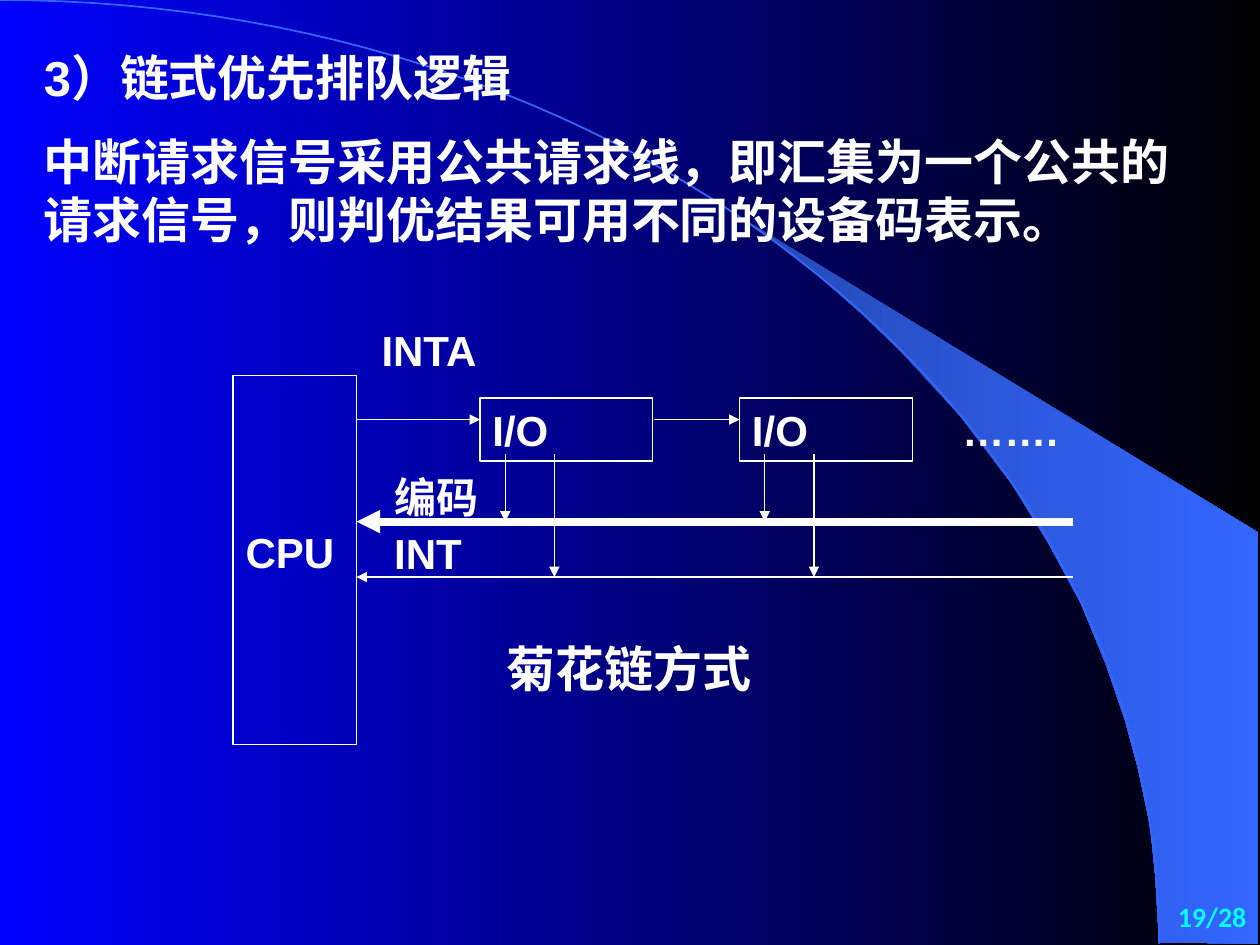
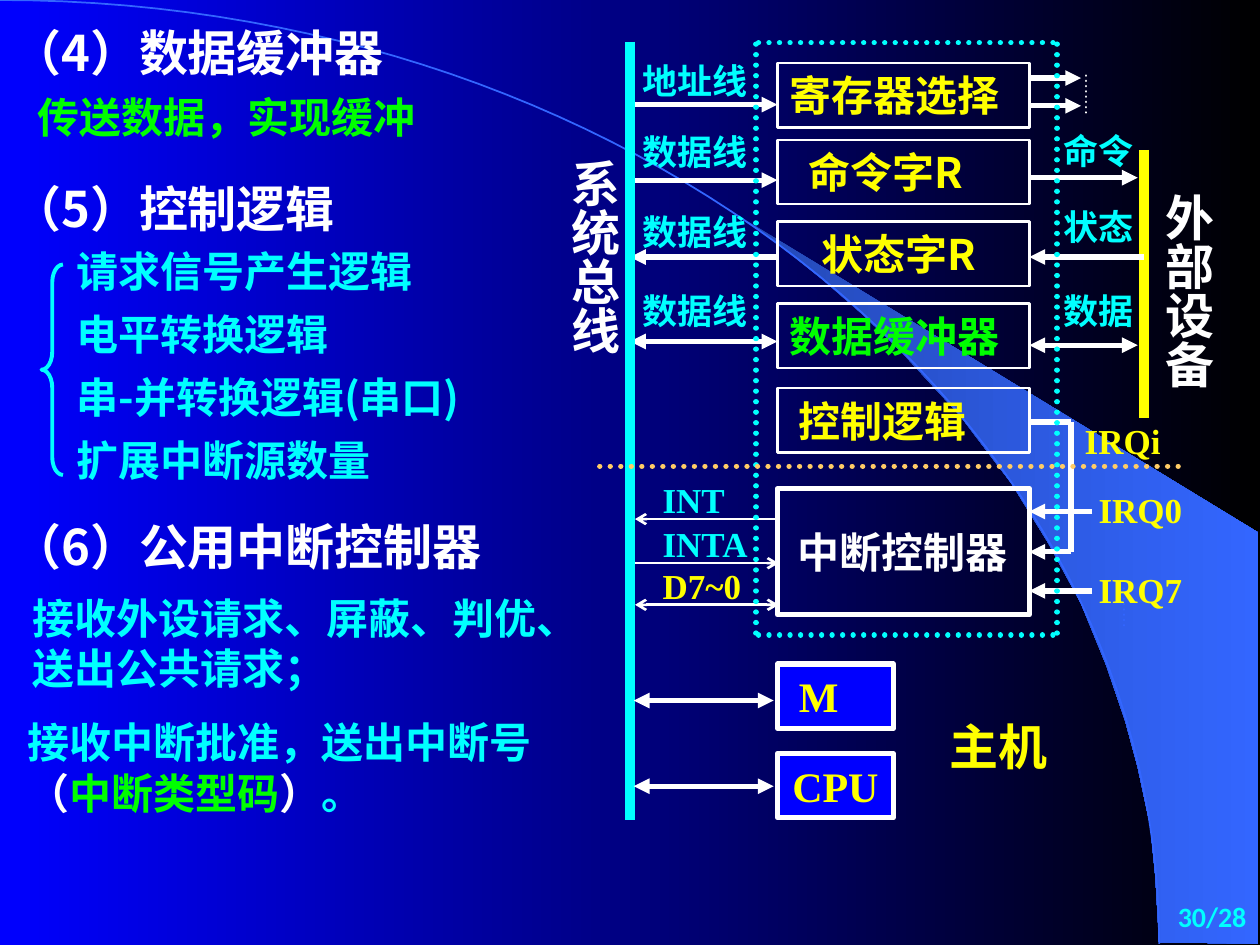
from lxml import etree
from pptx import Presentation
from pptx.dml.color import RGBColor
from pptx.enum import dml, shapes, text
from pptx.oxml import ns
from pptx.util import Inches, Pt

# Shared style
WHITE, CYAN, YELLOW, GREEN = "FFFFFF", "00FFFF", "FFFF00", "00FF00"
BLUE, BLACK, SKY, NAVY, SAND = "0000FF", "000000", "3366FF", "2449B6", "FFCC66"
ARIAL, TIMES, NOTO = "Arial", "Times New Roman", "Noto Sans CJK SC"
WEDGE = [(9.2, 7.48), (9.99, 7.49), (9.99, 4.23), (5.89, 1.73), (6.24, 1.99),
         (6.53, 2.22), (6.85, 2.5), (7.16, 2.8), (7.62, 3.3), (8.03, 3.84),
         (8.32, 4.31), (8.58, 4.79), (8.78, 5.28), (8.93, 5.72),
         (9.03, 6.09), (9.13, 6.56), (9.17, 6.96)]


def rgb(code):
    return RGBColor.from_string(code)


def fade(fill, start, end):
    """Give a fill a left-to-right gradient."""
    fill.gradient()
    fill.gradient_angle = 0
    for stop, code in zip(fill.gradient_stops, (start, end)):
        stop.color.rgb = rgb(code)


def arc_points(steps=60):
    """Points on the large curve from the top left to the bottom right."""
    points = []
    for step in range(steps + 1):
        t = step / steps
        s = 1 - t
        points.append((3 * s * s * t * 5.08 + (3 * s * t * t + t ** 3) * 9.2,
                       3 * s * t * t * 3.35 + t ** 3 * 7.49))
    return points


class Deck:
    def __init__(self):
        self.prs = Presentation()
        self.prs.slide_width, self.prs.slide_height = Inches(10), Inches(7.5)
        fade(self.prs.slide_master.background.fill, BLUE, BLACK)
        self.slide = None

    def page(self, number):
        """Start a slide with the wedge, the curve and the page number."""
        self.slide = self.prs.slides.add_slide(self.prs.slide_layouts[6])
        wedge = self.outline(WEDGE, True)
        fade(wedge.fill, NAVY, SKY)
        wedge.line.fill.background()
        curve = self.outline(arc_points(), False)
        curve.fill.background()
        self.stroke(curve.line, SKY, 1)
        self.text(8.94, 7.09, 1.05, 0.39, number, 16, CYAN, "Calibri",
                  align=text.PP_ALIGN.RIGHT)

    def outline(self, points, close):
        spots = [(Inches(x), Inches(y)) for x, y in points]
        maker = self.slide.shapes.build_freeform(*spots[0])
        maker.add_line_segments(spots[1:], close=close)
        shape = maker.convert_to_shape()
        shape.shadow.inherit = False
        return shape

    def stroke(self, line, color, width):
        line.color.rgb = rgb(color)
        line.width = Pt(width)

    def add_runs(self, frame, content, size, color, font, align=None):
        """Fill a frame; content is a string or paragraphs of (words, color) runs."""
        frame.word_wrap = True
        if isinstance(content, str):
            content = [[(content, color)]]
        for index, runs in enumerate(content):
            para = frame.add_paragraph() if index else frame.paragraphs[0]
            para.alignment = align or text.PP_ALIGN.LEFT
            if index:
                para.space_before = Pt(size / 2)
            for words, shade in runs:
                run = para.add_run()
                run.text = words
                run.font.size, run.font.bold = Pt(size), True
                run.font.color.rgb = rgb(shade)
                run.font.name = font
                east = etree.SubElement(run._r.get_or_add_rPr(), ns.qn("a:ea"))
                east.set("typeface", NOTO)

    def text(self, x, y, w, h, content, size=24, color=WHITE, font=NOTO,
             align=None, upright=False):
        box = self.slide.shapes.add_textbox(*map(Inches, (x, y, w, h)))
        if upright:
            box.text_frame._txBody.bodyPr.set("vert", "eaVert")
        self.add_runs(box.text_frame, content, size, color, font, align)

    def shape(self, kind, x, y, w, h, color, width):
        shape = self.slide.shapes.add_shape(kind, *map(Inches, (x, y, w, h)))
        shape.shadow.inherit = False
        shape.fill.background()
        self.stroke(shape.line, color, width)
        return shape

    def box(self, x, y, w, h, words="", color=WHITE, font=NOTO, width=1.5,
            fill=None, inset=0.1, align=None):
        box = self.shape(shapes.MSO_SHAPE.RECTANGLE, x, y, w, h, WHITE, width)
        if fill:
            box.fill.solid()
            box.fill.fore_color.rgb = rgb(fill)
        frame = box.text_frame
        frame.vertical_anchor = text.MSO_ANCHOR.MIDDLE
        frame.margin_left = Inches(inset)
        if words:
            self.add_runs(frame, words, 24, color, font, align)
        return frame

    def line(self, x1, y1, x2, y2, color=WHITE, width=3, head=None, tail=None,
             dots=False):
        """Draw a line; head is the tip at its start, tail the one at its end."""
        wire = self.slide.shapes.add_connector(
            shapes.MSO_CONNECTOR.STRAIGHT, *map(Inches, (x1, y1, x2, y2)))
        self.stroke(wire.line, color, width)
        pen = wire.line._get_or_add_ln()
        if dots:
            wire.line.dash_style = dml.MSO_LINE.ROUND_DOT
            pen.set("cap", "rnd")
        for tag, tip in (("a:headEnd", head), ("a:tailEnd", tail)):
            if tip:
                etree.SubElement(pen, ns.qn(tag)).set("type", tip)
        etree.SubElement(wire._element.spPr, ns.qn("a:effectLst"))


TIP, OPEN = "triangle", "arrow"


def chain_page(deck):
    deck.page("19/28")
    deck.text(0.25, 0.33, 9.42, 1.75, [
        [("3）链式优先排队逻辑", WHITE)],
        [("中断请求信号采用公共请求线，即汇集为一个公共的"
          "请求信号，则判优结果可用不同的设备码表示。", WHITE)]], 28, font=ARIAL)

    # Processor with its code, request and grant lines
    frame = deck.box(1.85, 2.98, 0.98, 2.93, "CPU", font=ARIAL, width=0.75)
    frame.margin_bottom = Inches(0.18)
    deck.line(2.83, 4.14, 8.52, 4.14, width=4.5, head=TIP)
    deck.line(2.83, 4.58, 8.52, 4.58, width=0.75, head=TIP)
    deck.line(2.83, 3.33, 3.81, 3.33, width=0.75, tail=TIP)

    # Devices on the chain
    for left in (3.81, 5.87):
        deck.box(left, 3.16, 1.37, 0.5, "I/O", font=ARIAL, width=0.75)
        for shift, end in ((0.2, 4.14), (0.59, 4.58)):
            deck.line(left + shift, 3.6, left + shift, end, width=0.75, tail=TIP)
    deck.line(5.19, 3.33, 5.87, 3.33, width=0.75, tail=TIP)

    # Labels
    for x, y, w, words in ((7.54, 3.16, 1.67, "……."), (3.03, 3.69, 1.18, "编码"),
                           (3.03, 4.14, 1.08, "INT"), (2.93, 2.53, 1.96, "INTA")):
        deck.text(x, y, w, 0.5, words, font=ARIAL)
    deck.text(3.92, 5.02, 4.58, 0.57, "菊花链方式", 28, font=ARIAL)


def port_page(deck):
    deck.page("30/28")

    # Outline on the left
    for y, words in ((0.13, "（4）数据缓冲器"), (1.37, "（5）控制逻辑"),
                     (4.05, "（6）公用中断控制器")):
        deck.text(0, y, 4.67, 0.57, words, 28)
    deck.text(0.2, 0.68, 3.62, 0.51, "传送数据，实现缓冲", color=GREEN)
    for row, words in enumerate(("请求信号产生逻辑", "电平转换逻辑",
                                 "串-并转换逻辑(串口)", "扩展中断源数量")):
        deck.text(0.51, 1.9 + row * 0.5, 3.74, 0.51, words, color=CYAN)
    brace = deck.shape(shapes.MSO_SHAPE.LEFT_BRACE, 0.33, 2.1, 0.17, 1.67, CYAN, 2.25)
    brace.adjustments[0] = 0.83
    deck.text(0.16, 4.65, 4.53, 0.91, "接收外设请求、屏蔽、判优、送出公共请求；",
              color=CYAN)
    deck.text(0.12, 5.64, 4.49, 0.91, [[
        ("接收中断批准，送出中断号", CYAN), ("（", WHITE),
        ("中断类型码", GREEN), ("）", WHITE), ("。", CYAN)]])

    # Device bar and wires on the right of the port
    deck.line(9.08, 1.19, 9.08, 3.32, YELLOW, 6)
    for y in (0.62, 0.84):
        deck.line(8.17, y, 8.58, y, tail=TIP)
    deck.line(8.17, 1.41, 9.03, 1.41, tail=TIP)
    deck.line(9.08, 2.04, 8.17, 2.04, tail=TIP)
    deck.line(8.17, 2.74, 9.03, 2.74, head=TIP, tail=TIP)
    deck.line(8.62, 0.6, 8.62, 0.93, width=1.5, dots=True)

    # Interrupt requests
    deck.line(8.5, 3.35, 8.5, 4.38)
    deck.line(8.5, 3.35, 8.17, 3.35)
    for x, y in ((8.67, 4.06), (8.5, 4.38), (8.67, 4.69)):
        deck.line(x, y, 8.17, y, tail=TIP)
    deck.line(8.92, 4.67, 8.92, 5, SKY, 1.5, dots=True)

    # Wires between bus and port
    for y, head, tail in ((0.83, None, TIP), (1.43, None, TIP),
                          (2.04, TIP, None), (2.71, TIP, TIP)):
        deck.line(5, y, 6.17, y, head=head, tail=tail)
    for y, head, tail in ((4.12, OPEN, None), (4.47, None, OPEN), (4.8, OPEN, OPEN)):
        deck.line(5.04, y, 6.18, y, width=1.5, head=head, tail=tail)

    # Port registers and interrupt controller
    for y, words, color, inset in ((0.5, "寄存器选择", YELLOW, 0.1),
                                   (1.11, "命令字R", YELLOW, 0.25),
                                   (1.76, "状态字R", YELLOW, 0.35),
                                   (2.41, "数据缓冲器", GREEN, 0.1),
                                   (3.08, "控制逻辑", YELLOW, 0.17)):
        deck.box(6.17, y, 2, 0.51, words, color, inset=inset)
    deck.box(6.17, 3.88, 2, 1, width=3)
    deck.text(6.23, 4.13, 2, 0.5, "中断控制器")

    # Signal names
    for x, y, words, color in (
            (5, 0.42, "地址线", CYAN), (5, 0.99, "数据线", CYAN),
            (5, 1.62, "数据线", CYAN), (5, 2.25, "数据线", CYAN),
            (8.34, 0.98, "命令", CYAN), (8.34, 1.58, "状态", CYAN),
            (8.34, 2.25, "数据", CYAN), (5.16, 3.75, "INT", CYAN),
            (5.16, 4.1, "INTA", CYAN), (5.16, 4.43, "D7~0", YELLOW),
            (8.51, 3.28, "IRQi", YELLOW), (8.62, 3.83, "IRQ0", YELLOW),
            (8.62, 4.46, "IRQ7", YELLOW)):
        deck.text(x, y, 1.18, 0.43, words, 20, color, TIMES)
    deck.text(9.04, 1.44, 0.67, 2, "外部设备", 28, upright=True)
    deck.text(4.33, 1.17, 0.67, 2.08, "系统总线", 28, upright=True)

    # System bus and dotted borders
    deck.line(5, 0.33, 5, 6.51, CYAN, 6)
    for x in (6, 8.39):
        deck.line(x, 0.35, x, 5.04, CYAN, dots=True)
    for y in (0.34, 5.04):
        deck.line(6.02, y, 8.39, y, CYAN, dots=True)
    deck.line(4.76, 3.7, 9.41, 3.7, SAND, dots=True)

    # Host memory and processor
    for y, words, inset, align in ((5.27, "M", 0.17, None),
                                   (5.98, "CPU", 0.1, text.PP_ALIGN.CENTER)):
        deck.box(6.17, y, 0.92, 0.51, words, YELLOW, TIMES, 3, BLUE, inset, align)
    for y in (5.56, 6.24):
        deck.line(5.03, y, 6.14, y, head=TIP, tail=TIP)
    deck.text(7.44, 5.64, 1.65, 0.57, "主机", 28, YELLOW, TIMES)


def main():
    deck = Deck()
    chain_page(deck)
    port_page(deck)
    deck.prs.save("out.pptx")


if __name__ == "__main__":
    main()
